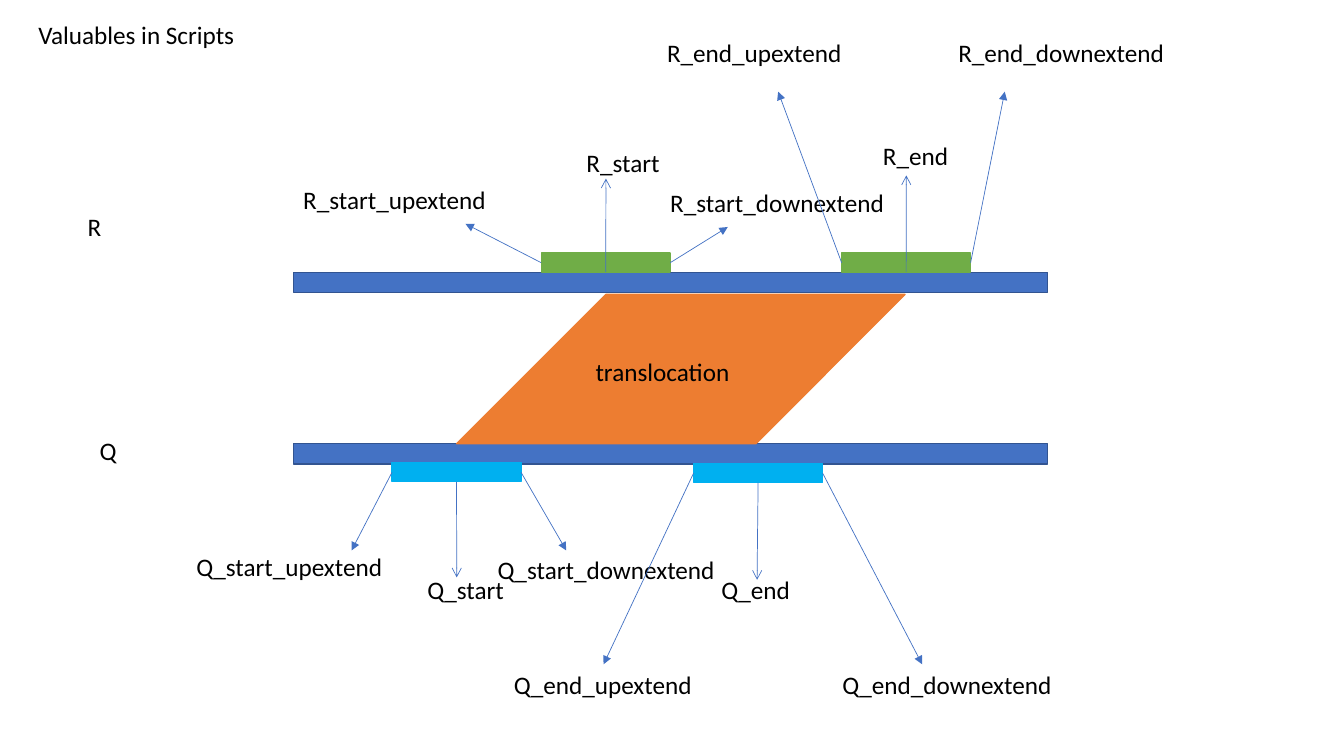
"""Diagram of the script variables around a translocation between R and Q."""
from lxml import etree
from pptx import Presentation
from pptx.dml.color import RGBColor
from pptx.enum.shapes import MSO_CONNECTOR, MSO_SHAPE
from pptx.enum.text import MSO_ANCHOR, MSO_AUTO_SIZE, PP_ALIGN
from pptx.oxml.ns import qn
from pptx.util import Cm, Pt

RECT = MSO_SHAPE.RECTANGLE
SLANT = MSO_SHAPE.PARALLELOGRAM
STRAIGHT = MSO_CONNECTOR.STRAIGHT
TOP, LEFT = MSO_ANCHOR.TOP, PP_ALIGN.LEFT
FIT, FIXED = MSO_AUTO_SIZE.SHAPE_TO_FIT_TEXT, MSO_AUTO_SIZE.NONE

BLUE, EDGE, ORANGE = "4472C4", "325491", "ED7D31"
GREEN, SKY, BLACK = "70AD47", "00B0F0", "000000"
FONT = {"name": "Calibri", "size": Pt(18), "bold": False}
LINE_H = 1.02
BLOCK_W, BLOCK_H = 3.25, 0.48

# Name, left, top, colour, then the tip and the label box (left, top, width)
# of the middle, the upextend and the downextend arrow; all in cm.
BLOCKS = [
    ("R_start", 13.64, 6.38, GREEN,
     [((15.27, 4.5), (14.53, 3.58, 2.36)),
      ((11.73, 5.64), (7.39, 4.52, 5.16)),
      ((18.34, 5.72), (16.64, 4.6, 5.97))]),
    ("R_end", 21.21, 6.38, GREEN,
     [((22.84, 4.42), (22, 3.4, 2.18)),
      ((19.61, 2.31), (16.56, 0.81, 4.98)),
      ((25.32, 2.31), (23.9, 0.81, 5.77))]),
    ("Q_start", 9.88, 11.66, SKY,
     [((11.51, 14.55), (10.52, 14.35, 2.46)),
      ((8.86, 13.87), (4.7, 13.77, 5.26)),
      ((14.27, 13.87), (12.29, 13.84, 6.05))]),
    ("Q_end", 17.48, 11.68, SKY,
     [((19.08, 14.61), (17.93, 14.35, 2.26)),
      ((15.21, 16.74), (12.7, 16.74, 5.05)),
      ((23.24, 16.74), (20.98, 16.74, 5.84))]),
]


def paint(code):
    """Turn a hex string into a colour."""
    return RGBColor.from_string(code)


def add_form(slide, kind, box, fill, edge):
    """Add a filled preset shape; box is left, top, width, height in cm."""
    form = slide.shapes.add_shape(kind, *map(Cm, box))
    form.shadow.inherit = False
    form.fill.solid()
    form.fill.fore_color.rgb = paint(fill)
    form.line.color.rgb = paint(edge)
    form.line.width = Pt(1)
    return form


def add_arrow(slide, start, tip, head):
    """Add a thin arrow from start to tip."""
    arrow = slide.shapes.add_connector(STRAIGHT, *map(Cm, start + tip))
    arrow.line.color.rgb = paint(BLUE)
    arrow.line.width = Pt(0.5)
    stroke = arrow.line._get_or_add_ln()
    etree.SubElement(stroke, qn("a:tailEnd"), type=head)
    etree.SubElement(arrow._element.spPr, qn("a:effectLst"))


def write(shape, text, wrap=False, fit=FIT):
    """Put one line of text in a shape."""
    frame = shape.text_frame
    look = {"text": text, "word_wrap": wrap, "auto_size": fit,
            "vertical_anchor": TOP}
    for key, value in look.items():
        setattr(frame, key, value)
    para = frame.paragraphs[0]
    para.alignment = LEFT
    para.line_spacing = 1.0
    font = para.runs[0].font
    for key, value in FONT.items():
        setattr(font, key, value)
    font.color.rgb = paint(BLACK)


def add_label(slide, text, left, top, width, wrap=False):
    """Add a one-line text box."""
    box = slide.shapes.add_textbox(*map(Cm, (left, top, width, LINE_H)))
    write(box, text, wrap)


def set_title(slide, text, left, top, width):
    """Move the title placeholder and fill it."""
    title = slide.shapes.title
    place = {"left": left, "top": top, "width": width, "height": LINE_H}
    for key, value in place.items():
        setattr(title, key, Cm(value))
    write(title, text, fit=FIXED)


def add_block(slide, name, left, top, fill, marks):
    """Add a block with its three arrows and their labels."""
    add_form(slide, RECT, (left, top, BLOCK_W, BLOCK_H), fill, fill)
    middle = top + BLOCK_H / 2
    starts = [(left + BLOCK_W / 2, top + BLOCK_H),
              (left, middle), (left + BLOCK_W, middle)]
    kinds = [("", "arrow"), ("_upextend", "triangle"),
             ("_downextend", "triangle")]
    for start, (ending, head), (tip, spot) in zip(starts, kinds, marks):
        add_arrow(slide, start, tip, head)
        add_label(slide, name + ending, *spot)


def main():
    """Build and save the slide."""
    deck = Presentation()
    deck.slide_width, deck.slide_height = Cm(33.87), Cm(19.05)
    slide = deck.slides.add_slide(deck.slide_layouts[5])
    set_title(slide, "Valuables in Scripts", 0.71, 0.36, 5.51)
    for top in (6.86, 11.18):
        add_form(slide, RECT, (7.4, top, 19, 0.51), BLUE, EDGE)
    slant = add_form(slide, SLANT, (11.51, 7.42, 11.3, 3.76), ORANGE, ORANGE)
    slant.adjustments[0] = 1
    for block in BLOCKS:
        add_block(slide, *block)
    add_label(slide, "R", 1.96, 5.21, 0.86)
    add_label(slide, "Q", 2.26, 10.85, 0.94)
    add_label(slide, "translocation", 14.76, 8.86, 4.85, wrap=True)
    deck.save("out.pptx")


main()
